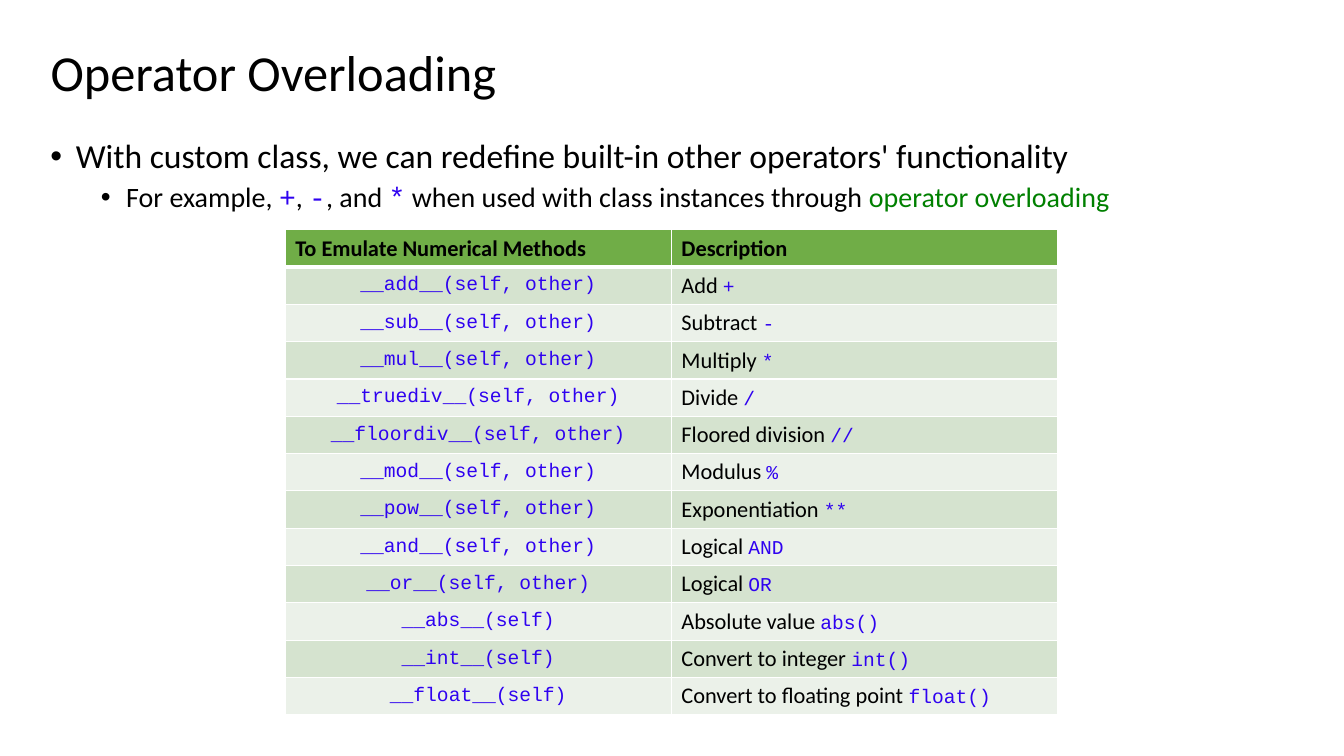
from dataclasses import dataclass

from lxml.etree import SubElement
from pptx import Presentation
from pptx.dml.color import RGBColor as Rgb
from pptx.enum.text import MSO_ANCHOR as Anchor, PP_ALIGN as Align
from pptx.oxml import parse_xml
from pptx.oxml.ns import nsdecls, qn
from pptx.util import Cm, Pt

COLORS = {
    "text": "000000", "code": "2F02F0", "term": "008000", "white": "FFFFFF",
    "header": "70AD47", "odd": "D5E3CF", "even": "EBF1E9",
}
SANS, MONO = "Calibri", "Courier New"
ROW_HEIGHT, COLUMN_WIDTH = 0.94, 9.73


@dataclass
class Method:
    signature: str
    description: str
    symbol: str


@dataclass
class Bullet:
    spans: list[tuple[str, str]]
    size: float
    indent: float
    space_before: float


METHODS = [
    Method("__add__(self, other)", "Add", "+"),
    Method("__sub__(self, other)", "Subtract", "-"),
    Method("__mul__(self, other)", "Multiply", "*"),
    Method("__truediv__(self, other)", "Divide", "/"),
    Method("__floordiv__(self, other)", "Floored division", "//"),
    Method("__mod__(self, other)", "Modulus", "%"),
    Method("__pow__(self, other)", "Exponentiation", "**"),
    Method("__and__(self, other)", "Logical", "AND"),
    Method("__or__(self, other)", "Logical", "OR"),
    Method("__abs__(self)", "Absolute value", "abs()"),
    Method("__int__(self)", "Convert to integer", "int()"),
    Method("__float__(self)", "Convert to floating point", "float()"),
]

BULLETS = [
    Bullet([("With custom class, we can redefine built-in other operators' functionality", "text")],
           size=24, indent=0.64, space_before=0),
    Bullet([("For example, ", "text"), ("+", "code"), (", ", "text"), ("-", "code"),
            (", and ", "text"), ("*", "code"),
            (" when used with class instances through ", "text"),
            ("operator overloading", "term")],
           size=20, indent=1.91, space_before=5),
]


def add_span(para, text: str, *, size: float, color: str = "text", bold: bool = False) -> None:
    span = para.add_run()
    span.text = text
    span.font.size = Pt(size)
    span.font.name = MONO if color == "code" else SANS
    span.font.bold = bold
    span.font.color.rgb = Rgb.from_string(COLORS[color])


def place(shape, left: float, top: float, width: float, height: float) -> None:
    shape.left, shape.top, shape.width, shape.height = map(Cm, (left, top, width, height))


def add_title(slide, text: str) -> None:
    title = slide.shapes.title
    place(title, 1.02, 0.61, 29.21, 2.59)
    title.text_frame.vertical_anchor = Anchor.MIDDLE
    para = title.text_frame.paragraphs[0]
    para.alignment = Align.LEFT
    para.line_spacing = 0.9
    add_span(para, text, size=36)


def add_bullets(slide, bullets: list[Bullet]) -> None:
    box = slide.shapes.add_textbox(Cm(1.02), Cm(3.4), Cm(30.5), Cm(13.84))
    frame = box.text_frame
    frame.word_wrap = True
    for index, bullet in enumerate(bullets):
        para = frame.add_paragraph() if index else frame.paragraphs[0]
        para.level = index
        para.line_spacing = 0.9
        para.space_before = Pt(bullet.space_before)
        properties = para._p.get_or_add_pPr()
        properties.set("marL", str(Cm(bullet.indent)))
        properties.set("indent", str(-Cm(0.64)))
        SubElement(properties, qn("a:buFont"), typeface="Arial")
        SubElement(properties, qn("a:buChar"), char="•")
        for text, color in bullet.spans:
            add_span(para, text, size=bullet.size, color=color)


def format_cell(cell, fill: str, top: float = 1, bottom: float = 1) -> None:
    cell.vertical_anchor = Anchor.MIDDLE
    cell.fill.solid()
    cell.fill.fore_color.rgb = Rgb.from_string(COLORS[fill])
    properties = cell._tc.get_or_add_tcPr()
    # Borders come before the fill
    for index, (side, width) in enumerate(zip("LRTB", (1, 1, top, bottom))):
        properties.insert(index, parse_xml(
            f'<a:ln{side} {nsdecls("a")} w="{Pt(width)}"><a:solidFill>'
            f'<a:srgbClr val="{COLORS["white"]}"/></a:solidFill></a:ln{side}>'))


def add_method_table(slide, methods: list[Method]) -> None:
    count = len(methods) + 1
    table = slide.shapes.add_table(count, 2, Cm(7.19), Cm(5.79), Cm(2 * COLUMN_WIDTH),
                                   Cm(count * ROW_HEIGHT)).table
    for column in table.columns:
        column.width = Cm(COLUMN_WIDTH)
    for row in table.rows:
        row.height = Cm(ROW_HEIGHT)

    # Header row
    for index, heading in enumerate(("To Emulate Numerical Methods", "Description")):
        cell = table.cell(0, index)
        format_cell(cell, "header", bottom=3)
        add_span(cell.text_frame.paragraphs[0], heading, size=16, bold=True)

    # One row for each method
    for index, method in enumerate(methods, start=1):
        cells = [table.cell(index, column) for column in range(2)]
        for cell in cells:
            format_cell(cell, "odd" if index % 2 else "even", top=3 if index == 1 else 1)
        signature, description = (cell.text_frame.paragraphs[0] for cell in cells)
        signature.alignment = Align.CENTER
        add_span(signature, method.signature, size=14, color="code")
        add_span(description, f"{method.description} ", size=16)
        add_span(description, method.symbol, size=14, color="code")


def main() -> None:
    deck = Presentation()
    deck.slide_width, deck.slide_height = Cm(33.87), Cm(19.05)
    slide = deck.slides.add_slide(deck.slide_layouts[5])
    add_title(slide, "Operator Overloading")
    add_bullets(slide, BULLETS)
    add_method_table(slide, METHODS)
    deck.save("out.pptx")


if __name__ == "__main__":
    main()
